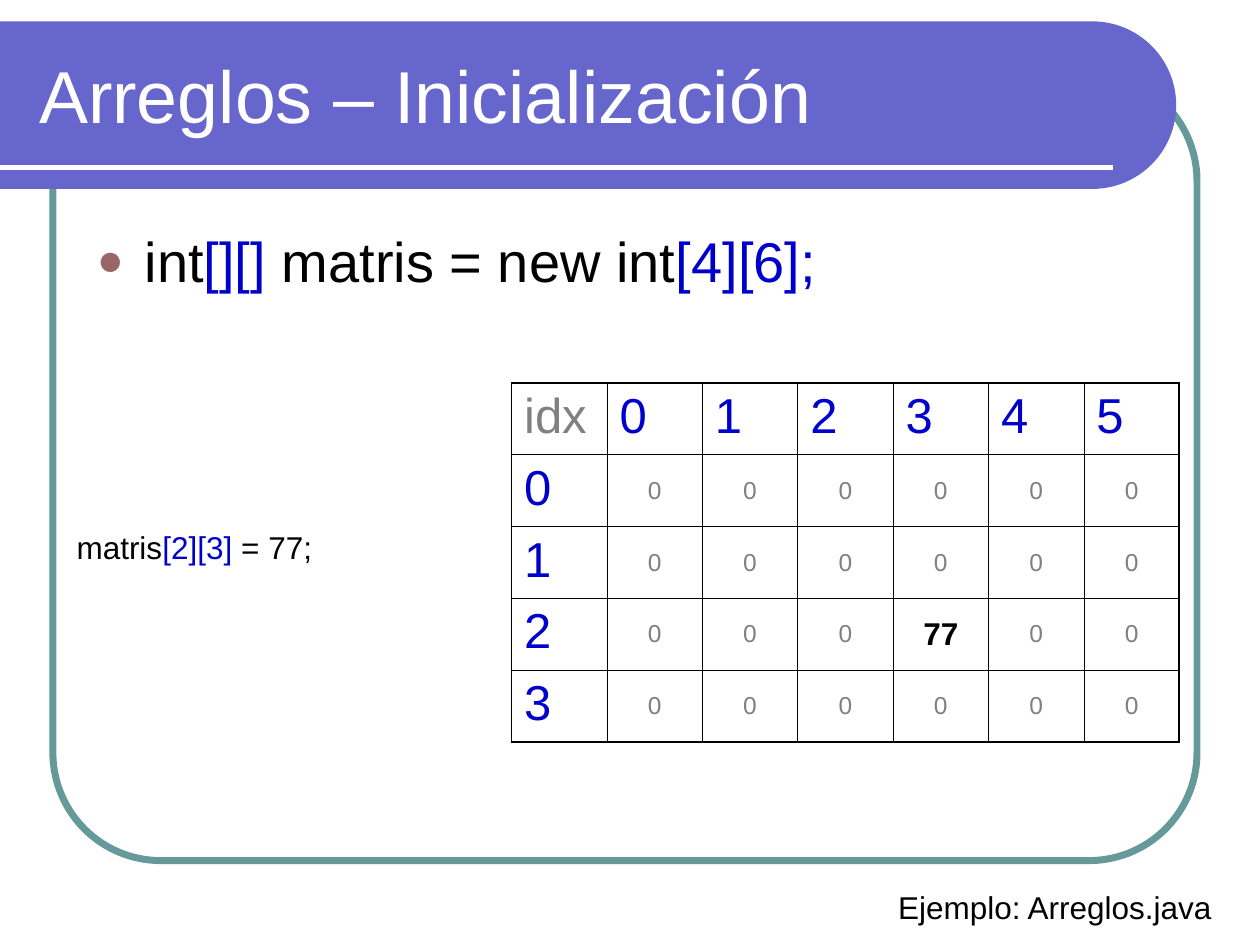
from math import cos, pi, sin

from lxml.etree import SubElement
from pptx import Presentation
from pptx.dml.color import RGBColor
from pptx.enum.shapes import MSO_CONNECTOR, MSO_SHAPE
from pptx.enum.text import MSO_ANCHOR, MSO_AUTO_SIZE, PP_ALIGN
from pptx.oxml.ns import qn
from pptx.util import Inches, Pt

COLORS = {
    "white": "FFFFFF", "black": "000000", "band": "6666CC", "frame": "669999",
    "bullet": "996666", "index": "0000CC", "gray": "808080",
}


def rgb(name):
    return RGBColor.from_string(COLORS[name])


def write(frame, *runs, size, bold=False, align=PP_ALIGN.LEFT,
          anchor=MSO_ANCHOR.TOP, before=0, wrap=True, fit=MSO_AUTO_SIZE.NONE):
    """Fill a text frame with one paragraph of (text, color) runs."""
    frame.word_wrap, frame.auto_size = wrap, fit
    frame.vertical_anchor = anchor
    para = frame.paragraphs[0]
    para.alignment, para.space_before = align, Pt(before)
    for text, color in runs:
        span = para.add_run()
        span.text = text
        span.font.name, span.font.size, span.font.bold = "Arial", Pt(size), bold
        span.font.color.rgb = rgb(color)
    return para


deck = Presentation()
deck.slide_width, deck.slide_height = Inches(10), Inches(7.5)
page = deck.slides.add_slide(deck.slide_layouts[5])
shapes = page.shapes

# Rounded frame, title band and underline
frame = shapes.add_shape(MSO_SHAPE.ROUNDED_RECTANGLE, Inches(0.42), Inches(0.58),
                         Inches(9.08), Inches(6.25))
frame.adjustments[0] = 0.137
frame.shadow.inherit = False
frame.fill.background()
frame.line.color.rgb = rgb("frame")
frame.line.width = Pt(4)

radius, center_x, center_y, steps = 0.665, 8.67, 0.835, 48
angles = [pi * step / steps - pi / 2 for step in range(steps + 1)]
arc = [(Inches(center_x + radius * cos(angle)), Inches(center_y + radius * sin(angle)))
       for angle in angles]
outline = shapes.build_freeform(0, Inches(center_y - radius))
outline.add_line_segments(arc + [(0, Inches(center_y + radius))], close=True)
band = outline.convert_to_shape()
band.shadow.inherit = False
band.fill.solid()
band.fill.fore_color.rgb = rgb("band")
band.line.fill.background()

underline = shapes.add_connector(MSO_CONNECTOR.STRAIGHT, 0, Inches(1.33),
                                 Inches(8.83), Inches(1.33))
underline.line.color.rgb = rgb("white")
underline.line.width = Pt(3)
SubElement(underline.element.spPr, qn("a:effectLst"))

# The title sits in front of the band
title = shapes.title
title.left, title.top = Inches(0.21), Inches(0.25)
title.width, title.height = Inches(8.77), Inches(1)
write(title.text_frame, ("Arreglos – Inicialización", "white"), size=42,
      anchor=MSO_ANCHOR.MIDDLE)
underline.element.addnext(title.element)

# Bulleted declaration
body = shapes.add_textbox(Inches(0.67), Inches(1.75), Inches(8.67), Inches(4.83))
para = write(body.text_frame, ("int", "black"), ("[][]", "index"),
             (" matris = new int", "black"), ("[4][6];", "index"), size=32, before=8)
props = para._p.get_or_add_pPr()
props.set("marL", str(Inches(0.38)))
props.set("indent", str(-Inches(0.38)))
bullet_color = SubElement(props, qn("a:buClr"))
SubElement(bullet_color, qn("a:srgbClr"), val=COLORS["bullet"])
SubElement(props, qn("a:buSzPct"), val="80000")
SubElement(props, qn("a:buFont"), typeface="Arial")
SubElement(props, qn("a:buChar"), char="●")

example = shapes.add_textbox(Inches(7.03), Inches(7), Inches(2.7), Inches(0.4))
write(example.text_frame, ("Ejemplo: Arreglos.java", "black"), size=18,
      wrap=False, fit=MSO_AUTO_SIZE.SHAPE_TO_FIT_TEXT)

# Matrix with its row and column indexes
matrix_rows, matrix_cols = 4, 6
values = {(2, 3): 77}
table = shapes.add_table(matrix_rows + 1, matrix_cols + 1, Inches(4.06), Inches(3.04),
                         Inches(5.3), Inches(2.85)).table
table.first_row = table.horz_banding = False
for column in table.columns:
    column.width = Inches(5.3 / (matrix_cols + 1))
for row in table.rows:
    row.height = Inches(0.57)

for r in range(matrix_rows + 1):
    for c in range(matrix_cols + 1):
        cell = table.cell(r, c)
        if r == 0 or c == 0:
            text, color = ("idx", "gray") if r == c else (str(r + c - 0 if r == 0 or c == 0 else 0), "index")
            if r != c:
                text = str(max(r, c) - 1)
            write(cell.text_frame, (text, color), size=28, before=7)
        else:
            value = values.get((r - 1, c - 1), 0)
            assigned = value != 0
            write(cell.text_frame, (str(value), "black" if assigned else "gray"),
                  size=18 if assigned else 14, bold=assigned,
                  align=PP_ALIGN.CENTER, before=4.5 if assigned else 3.5)
            cell.vertical_anchor = MSO_ANCHOR.MIDDLE
        cell_props = cell._tc.get_or_add_tcPr()
        outer = {"L": c == 0, "R": c == matrix_cols, "T": r == 0, "B": r == matrix_rows}
        for side, is_outer in outer.items():
            border = SubElement(cell_props, qn(f"a:ln{side}"),
                                w=str(Pt(1.08 if is_outer else 0.45)))
            fill = SubElement(border, qn("a:solidFill"))
            SubElement(fill, qn("a:srgbClr"), val=COLORS["black"])
        cell.fill.background()

assignment = shapes.add_textbox(Inches(0.51), Inches(4.14), Inches(2.07), Inches(0.4))
write(assignment.text_frame, ("matris", "black"), ("[2][3] ", "index"),
      ("= 77;", "black"), size=18, wrap=False, fit=MSO_AUTO_SIZE.SHAPE_TO_FIT_TEXT)

deck.save("out.pptx")
